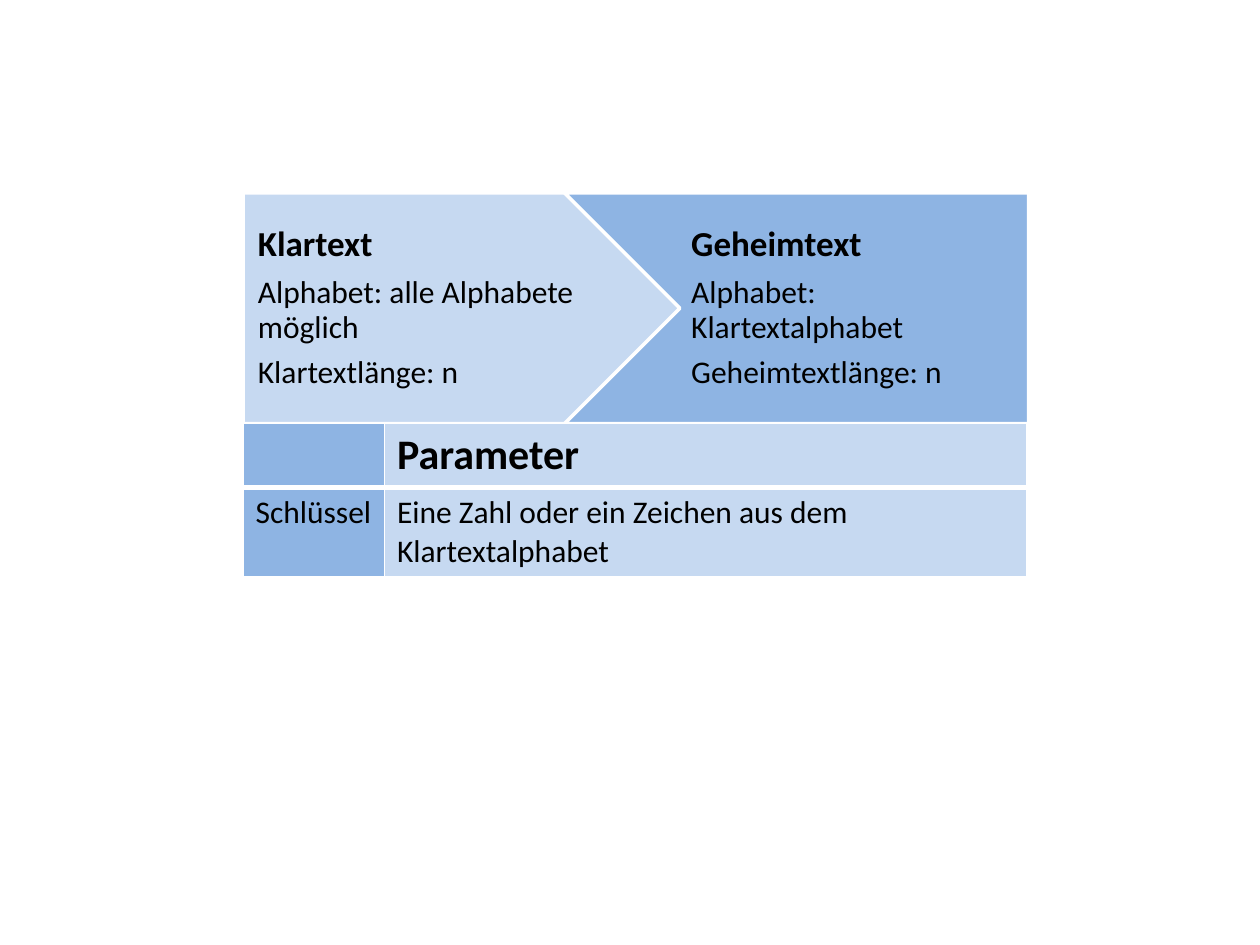
"""Builds a slide on plain text, cipher text and the key of a cipher."""
import pptx
import pptx.dml.color
import pptx.enum.shapes
import pptx.enum.text
import pptx.oxml
import pptx.oxml.ns
import pptx.util

Cm = pptx.util.Cm
Pt = pptx.util.Pt
SHAPES = pptx.enum.shapes.MSO_SHAPE
COLORS = {"light": "C6D9F1", "mid": "8EB4E3", "white": "FFFFFF", "black": "000000"}


class CipherSlide:
    font = "Calibri"
    body_size = 18

    def __init__(self, slide):
        self.slide = slide

    def color(self, name):
        return pptx.dml.color.RGBColor.from_string(COLORS[name])

    def fill(self, target, name):
        target.fill.solid()
        target.fill.fore_color.rgb = self.color(name)

    def run(self, paragraph, words, size, bold=False):
        font_run = paragraph.add_run()
        font_run.text = words
        font_run.font.name = self.font
        font_run.font.size = Pt(size)
        font_run.font.bold = bold
        font_run.font.color.rgb = self.color("black")

    def block(self, kind, left, top, width, height, fill, outlined=True):
        block = self.slide.shapes.add_shape(kind, Cm(left), Cm(top), Cm(width), Cm(height))
        block.shadow.inherit = False
        self.fill(block, fill)
        if outlined:
            block.line.color.rgb = self.color("white")
            block.line.width = Pt(2)
        else:
            block.line.fill.background()
        return block

    def stage(self, kind, left, top, width, height, fill, inset, heading, details):
        stage = self.block(kind, left, top, width, height, fill)
        stage.adjustments[0] = 0.5
        frame = stage.text_frame
        frame.word_wrap = True
        frame.vertical_anchor = pptx.enum.text.MSO_ANCHOR.MIDDLE
        frame.margin_left, frame.margin_right = Cm(inset), Cm(0.08)
        frame.margin_top = frame.margin_bottom = Cm(0.15)
        for index, words in enumerate([heading, *details]):
            paragraph = frame.add_paragraph() if index else frame.paragraphs[0]
            paragraph.alignment = pptx.enum.text.PP_ALIGN.LEFT
            paragraph.line_spacing = 0.9
            paragraph.space_after = Pt(6.3 if index else 7)
            self.run(paragraph, words, self.body_size if index else 20, bold=index == 0)

    def borders(self, cell, widths):
        properties = cell._tc.get_or_add_tcPr()
        for position, (side, width) in enumerate(widths.items()):
            properties.insert(position, pptx.oxml.parse_xml(
                f'<a:{side} {pptx.oxml.ns.nsdecls("a")} w="{Pt(width)}"><a:solidFill>'
                f'<a:srgbClr val="{COLORS["white"]}"/></a:solidFill></a:{side}>'))

    def table(self, left, top, widths, heights, rows):
        grid = self.slide.shapes.add_table(
            len(rows), len(widths), Cm(left), Cm(top), Cm(sum(widths)), Cm(sum(heights))).table
        for column, width in zip(grid.columns, widths):
            column.width = Cm(width)
        for r, (height, row) in enumerate(zip(heights, rows)):
            grid.rows[r].height = Cm(height)
            for c, words in enumerate(row):
                cell = grid.cell(r, c)
                self.fill(cell, "light" if c else "mid")
                self.borders(cell, {"lnL": 0.96, "lnR": 0.96,
                                    "lnT": 3 if r else 0.96, "lnB": 0.96 if r else 3})
                if words:
                    self.run(cell.text_frame.paragraphs[0], words,
                             self.body_size if r else 24, bold=r == 0)


presentation = pptx.Presentation()
presentation.slide_width, presentation.slide_height = Cm(25.4), Cm(19.05)
cipher = CipherSlide(presentation.slides.add_slide(presentation.slide_layouts[6]))

LEFT, TOP, HEIGHT = 4.9, 3.89, 4.65
cipher.stage(SHAPES.PENTAGON, LEFT, TOP, 10.01, HEIGHT, "light", 0.3, "Klartext",
             ["Alphabet: alle Alphabete möglich", "Klartextlänge: n"])
cipher.stage(SHAPES.CHEVRON, 11.38, TOP, 11.71, HEIGHT, "mid", 0.23, "Geheimtext",
             ["Alphabet: Klartextalphabet", "Geheimtextlänge: n"])
cipher.block(SHAPES.RECTANGLE, 20.7, 2.92, 2.39, 6.2, "white", outlined=False)
cipher.table(LEFT, TOP + HEIGHT, [2.85, 12.95], [1.19, 1.04], [
    ["", "Parameter"],
    ["Schlüssel", "Eine Zahl oder ein Zeichen aus dem Klartextalphabet"],
])

presentation.save("out.pptx")
